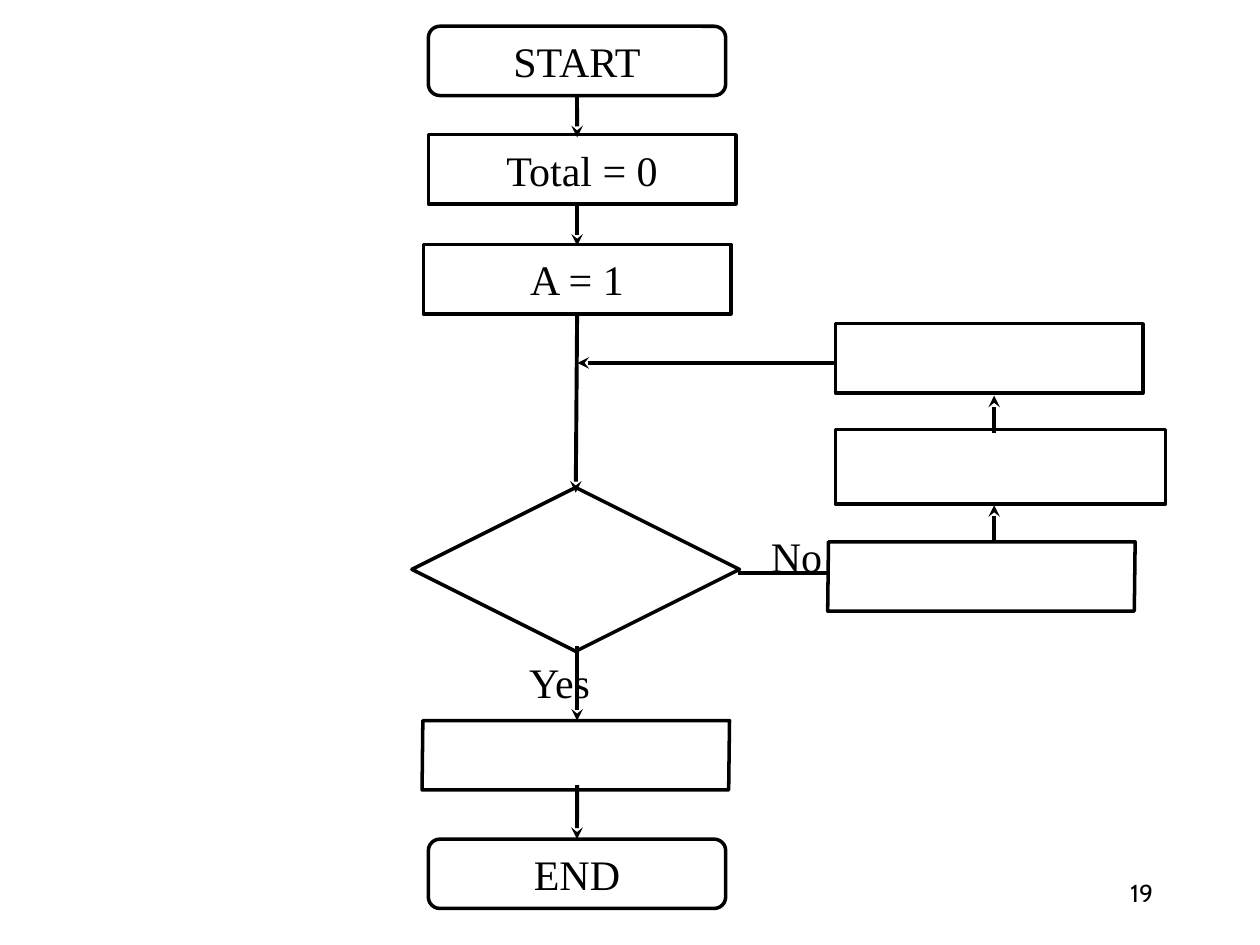
from dataclasses import dataclass

from lxml import etree
from pptx import Presentation
from pptx.dml.color import RGBColor
from pptx.enum.shapes import MSO_CONNECTOR, MSO_SHAPE
from pptx.enum.text import MSO_ANCHOR, PP_ALIGN
from pptx.oxml.ns import qn
from pptx.util import Pt

ROUNDED = MSO_SHAPE.ROUNDED_RECTANGLE
PARALLELOGRAM = MSO_SHAPE.PARALLELOGRAM
DIAMOND = MSO_SHAPE.DIAMOND
STRAIGHT = MSO_CONNECTOR.STRAIGHT
LEFT, CENTER, RIGHT = PP_ALIGN.LEFT, PP_ALIGN.CENTER, PP_ALIGN.RIGHT
TOP, MIDDLE = MSO_ANCHOR.TOP, MSO_ANCHOR.MIDDLE
TOP_SITE, BOTTOM_SITE = 0, 2


@dataclass(frozen=True)
class Theme:
    ink: RGBColor = RGBColor(0, 0, 0)
    paper: RGBColor = RGBColor(255, 255, 255)
    outline: float = 2
    flow: float = 2.25
    font: str = "Times New Roman"
    size: float = 24
    number_font: str = "Cabin"
    number_size: float = 14


THEME = Theme()
STEP_WIDTH, STEP_HEIGHT = 175.7, 39.6
TERMINAL_WIDTH = 169.9
LABEL_HEIGHT = 28.8


def write(shape, words, align=CENTER, anchor=MIDDLE, font=THEME.font, size=THEME.size):
    frame = shape.text_frame
    frame.word_wrap = True
    frame.vertical_anchor = anchor
    paragraph = frame.paragraphs[0]
    paragraph.alignment = align
    run = paragraph.add_run()
    run.text = words
    run.font.name = font
    run.font.size = Pt(size)
    run.font.color.rgb = THEME.ink


def add_label(slide, words, box, **text_format):
    label = slide.shapes.add_textbox(*map(Pt, box))
    write(label, words, anchor=TOP, **text_format)


def add_node(slide, origin, left, top, words="", kind=PARALLELOGRAM,
             width=STEP_WIDTH, height=STEP_HEIGHT, skew=0, filled=False):
    node = slide.shapes.add_shape(kind, Pt(origin[0] + left), Pt(origin[1] + top),
                                  Pt(width), Pt(height))
    node.shadow.inherit = False
    if kind == PARALLELOGRAM:
        node.adjustments[0] = skew
    if filled:
        node.fill.solid()
        node.fill.fore_color.rgb = THEME.paper
    else:
        node.fill.background()
    node.line.color.rgb = THEME.ink
    node.line.width = Pt(THEME.outline)
    if words:
        write(node, words)
    return node


def add_flow(slide, origin, start, end):
    left, top = origin
    flow = slide.shapes.add_connector(
        STRAIGHT, Pt(left + start[0]), Pt(top + start[1]), Pt(left + end[0]), Pt(top + end[1]))
    flow.line.color.rgb = THEME.ink
    flow.line.width = Pt(THEME.flow)
    etree.SubElement(flow.line._get_or_add_ln(), qn("a:tailEnd"), type="stealth")
    etree.SubElement(flow._element.spPr, qn("a:effectLst"))
    return flow


def add_loop(slide, left, top):
    origin = left, top
    add_flow(slide, origin, (92, 142.6), (152.4, 142.6))
    add_label(slide, "No", (left + 103.4, top + 114.5, 45.4, LABEL_HEIGHT), align=LEFT)
    add_node(slide, origin, 147.4, 0)
    add_node(slide, origin, 147.4, 60.5, width=188.6, height=42.5, filled=True)
    add_node(slide, origin, 143, 124.6, skew=0.012, filled=True)
    riser = 238.1
    for start, end in ((125.3, 103.7), (62.7, 41.1)):
        add_flow(slide, origin, (riser, start), (riser, end))
    add_flow(slide, origin, (146.6, 22.4), (0, 22.4))


def add_main_path(slide, left, top):
    origin = left, top
    spine = 94.8
    start = add_node(slide, origin, 9.8, 0, "START", kind=ROUNDED, width=TERMINAL_WIDTH)
    add_node(slide, origin, 9.8, 62, "Total = 0")
    add_node(slide, origin, 6.9, 124.7, "A = 1")
    add_node(slide, origin, 0.4, 263.6, kind=DIAMOND, width=187.2, height=93.6, filled=True)
    add_label(slide, "Yes", (left + 60.2, top + 356.5, 73.4, LABEL_HEIGHT), align=LEFT)
    add_node(slide, origin, 6.2, 396.8, skew=0.012, filled=True)
    end = add_node(slide, origin, 9.8, 464.5, "END", kind=ROUNDED, width=TERMINAL_WIDTH)

    from_start = add_flow(slide, origin, (spine, STEP_HEIGHT), (spine, 63.5))
    from_start.begin_connect(start, BOTTOM_SITE)
    add_flow(slide, origin, (spine, 101.6), (spine, 125.4))
    add_flow(slide, origin, (spine, 164.3), (94, 266.5))
    add_flow(slide, origin, (spine, 354.4), (spine, 396.8))
    to_end = add_flow(slide, origin, (spine, 433.6), (spine, 464.5))
    to_end.end_connect(end, TOP_SITE)


def add_page_number(slide, box):
    add_label(slide, "19", box, align=RIGHT, font=THEME.number_font, size=THEME.number_size)


def main():
    deck = Presentation()
    deck.slide_width, deck.slide_height = Pt(720), Pt(540)
    slide = deck.slides.add_slide(deck.slide_layouts[6])
    add_loop(slide, 330, 185)
    add_main_path(slide, 235, 15)
    add_page_number(slide, (516.2, 498.2, 149.8, 30.2))
    deck.save("out.pptx")


if __name__ == "__main__":
    main()
